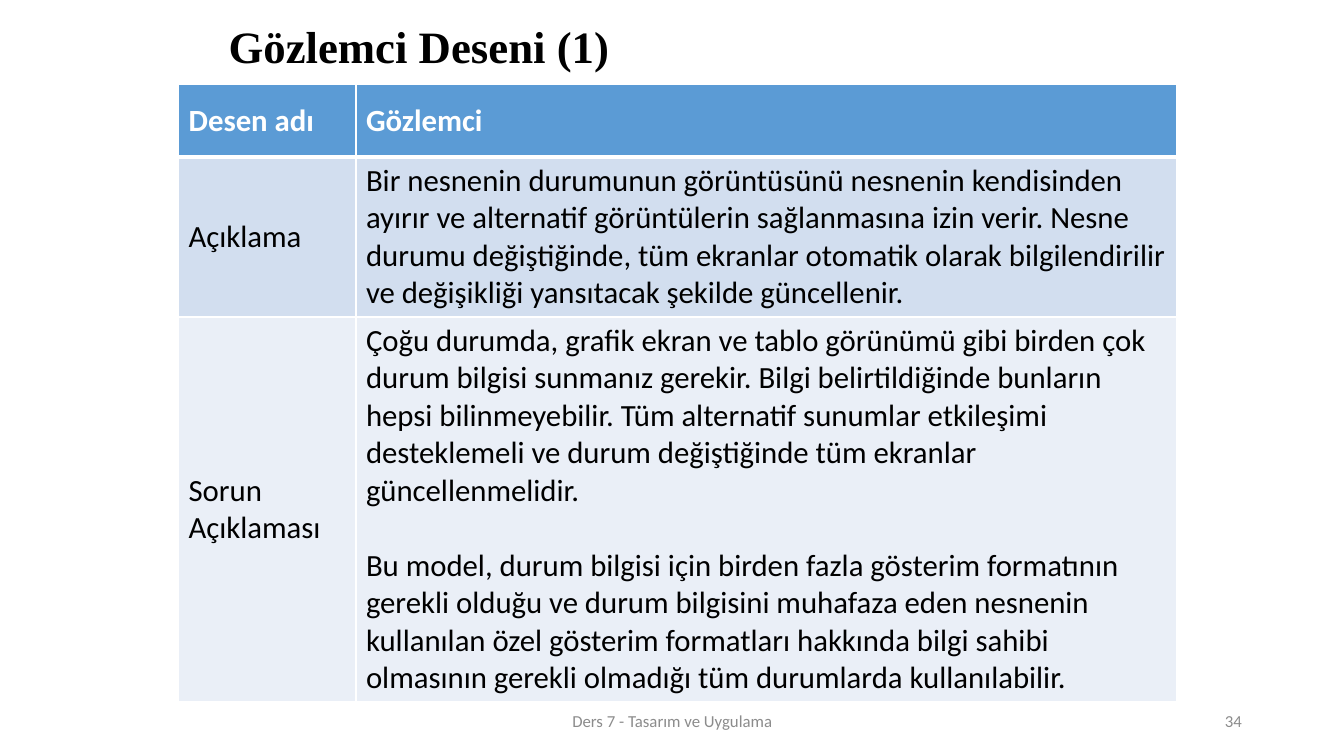
"""Build the observer pattern slide: a title, a pattern table and a footer."""
from lxml.etree import SubElement
from pptx import Presentation
from pptx.dml.color import RGBColor
from pptx.enum.text import MSO_ANCHOR, PP_ALIGN
from pptx.oxml.ns import qn
from pptx.util import Cm, Pt

COLORS = {
    "white": "FFFFFF",
    "black": "000000",
    "header": "5B9BD5",
    "band_dark": "D2DEEF",
    "band_light": "EAEFF7",
    "footer": "8C8C8C",
}
ROW_FILLS = ("header", "band_dark", "band_light")
COLUMN_WIDTHS = (4.47, 20.68)
ROW_HEIGHTS = (1.82, 4.04, 9.7)
PATTERN_ROWS = [
    ("Desen adı", ["Gözlemci"]),
    ("Açıklama", [
        "Bir nesnenin durumunun görüntüsünü nesnenin kendisinden ayırır ve "
        "alternatif görüntülerin sağlanmasına izin verir. Nesne durumu "
        "değiştiğinde, tüm ekranlar otomatik olarak bilgilendirilir ve "
        "değişikliği yansıtacak şekilde güncellenir."]),
    ("Sorun Açıklaması", [
        "Çoğu durumda, grafik ekran ve tablo görünümü gibi birden çok durum "
        "bilgisi sunmanız gerekir. Bilgi belirtildiğinde bunların hepsi "
        "bilinmeyebilir. Tüm alternatif sunumlar etkileşimi desteklemeli ve "
        "durum değiştiğinde tüm ekranlar güncellenmelidir.",
        "Bu model, durum bilgisi için birden fazla gösterim formatının gerekli "
        "olduğu ve durum bilgisini muhafaza eden nesnenin kullanılan özel "
        "gösterim formatları hakkında bilgi sahibi olmasının gerekli olmadığı "
        "tüm durumlarda kullanılabilir."]),
]


def write_text(frame, texts, size, color, font="Calibri", bold=False,
               align=PP_ALIGN.LEFT, line_spacing=1.0, gap=0):
    """Fill a text frame with one paragraph per text, set apart by gap points."""
    frame.word_wrap = True
    for index, text in enumerate(texts):
        para = frame.add_paragraph() if index else frame.paragraphs[0]
        para.alignment = align
        para.line_spacing = line_spacing
        if index:
            para.space_before = Pt(gap)
        span = para.add_run()
        span.text = text
        span.font.name = font
        span.font.size = Pt(size)
        span.font.bold = bold
        span.font.color.rgb = RGBColor.from_string(COLORS[color])


def add_label(page, box, text, **style):
    """Add a vertically centred text box in a (left, top, width, height) box."""
    frame = page.shapes.add_textbox(*map(Cm, box)).text_frame
    frame.vertical_anchor = MSO_ANCHOR.MIDDLE
    write_text(frame, [text], **style)


def set_borders(cell, bottom_width):
    """Draw white borders around a cell, with its own width at the bottom."""
    properties = cell._tc.get_or_add_tcPr()
    for side in "LRTB":
        width = bottom_width if side == "B" else 1
        line = SubElement(properties, qn(f"a:ln{side}"), w=str(Pt(width)))
        fill = SubElement(line, qn("a:solidFill"))
        SubElement(fill, qn("a:srgbClr"), val=COLORS["white"])


def add_pattern_table(page, left, top):
    """Add the table of pattern name, description and problem."""
    table = page.shapes.add_table(
        len(ROW_HEIGHTS), len(COLUMN_WIDTHS), Cm(left), Cm(top),
        Cm(sum(COLUMN_WIDTHS)), Cm(sum(ROW_HEIGHTS))).table
    for column, width in zip(table.columns, COLUMN_WIDTHS):
        column.width = Cm(width)
    for row, height in zip(table.rows, ROW_HEIGHTS):
        row.height = Cm(height)
    for row_index, (name, texts) in enumerate(PATTERN_ROWS):
        is_header = row_index == 0
        for column_index, content in enumerate(([name], texts)):
            cell = table.cell(row_index, column_index)
            set_borders(cell, 3 if is_header else 1)
            cell.fill.solid()
            cell.fill.fore_color.rgb = RGBColor.from_string(
                COLORS[ROW_FILLS[row_index]])
            cell.vertical_anchor = MSO_ANCHOR.MIDDLE
            write_text(cell.text_frame, content, size=22, bold=is_header,
                       color="white" if is_header else "black", gap=26.8)


def add_footer(page, top, height):
    """Add the centred lecture name and the page number at the right."""
    add_label(page, (11.23, top, 11.43, height), "Ders 7 - Tasarım ve Uygulama",
              size=12, color="footer", align=PP_ALIGN.CENTER)
    add_label(page, (23.93, top, 7.62, height), "34",
              size=12, color="footer", align=PP_ALIGN.RIGHT)


def main():
    """Create the deck and save it."""
    deck = Presentation()
    deck.slide_width, deck.slide_height = Cm(33.87), Cm(19.05)
    page = deck.slides.add_slide(deck.slide_layouts[6])
    add_label(page, (5.51, -0.36, 22.86, 3.18), "Gözlemci Deseni (1)", size=32,
              color="black", font="Times New Roman", bold=True, line_spacing=0.9)
    add_pattern_table(page, 4.5, 2.13)
    add_footer(page, 17.65, 1.02)
    deck.save("out.pptx")


if __name__ == "__main__":
    main()
